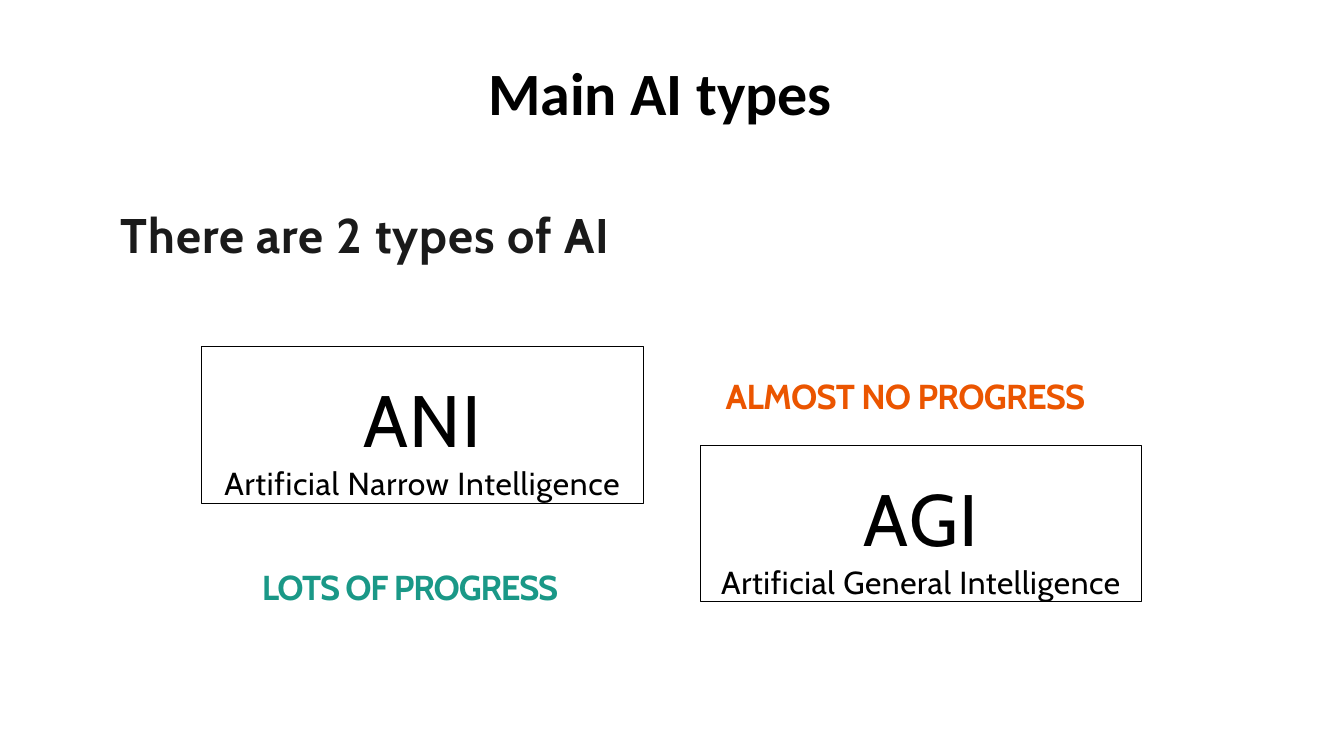
from pptx import Presentation
from pptx import util as u
from pptx.dml.color import RGBColor
from pptx.enum import shapes, text

BLACK = RGBColor(0x00, 0x00, 0x00)
CHARCOAL = RGBColor(0x1A, 0x1A, 0x1A)
TEAL = RGBColor(0x1A, 0x98, 0x87)
ORANGE = RGBColor(0xEB, 0x55, 0x00)

BOX_WIDTH, BOX_HEIGHT = u.Cm(11.13), u.Cm(3.94)


def write(paragraph, content, size, color=BLACK, font="Cabin", bold=False,
          tracking=0, before=0, align=text.PP_ALIGN.LEFT):
    """Fill a paragraph with one run; tracking and before are in points."""
    paragraph.alignment = align
    paragraph.space_before = u.Pt(before)
    run = paragraph.add_run()
    run.text = content
    run.font.name = font
    run.font.size = u.Pt(size)
    run.font.bold = bold
    run.font.color.rgb = color
    run.font._element.set("spc", str(round(tracking * 100)))


def prepare_frame(shape, top_inset):
    frame = shape.text_frame
    frame.word_wrap = True
    frame.vertical_anchor = text.MSO_ANCHOR.TOP
    frame.margin_left = frame.margin_right = frame.margin_bottom = 0
    frame.margin_top = top_inset
    return frame


def add_title(slide, content):
    title = slide.shapes.title
    title.left, title.top = u.Cm(2.03), u.Cm(1.55)
    title.width, title.height = u.Cm(29.21), u.Cm(1.85)
    title.text_frame.vertical_anchor = text.MSO_ANCHOR.MIDDLE
    paragraph = title.text_frame.paragraphs[0]
    paragraph.line_spacing = 0.8
    write(paragraph, content, 42.9, font="Calibri", bold=True,
          align=text.PP_ALIGN.CENTER)


def add_label(slide, content, left, top, width, height, **style):
    label = slide.shapes.add_textbox(left, top, width, height)
    frame = prepare_frame(label, u.Cm(0.05))
    frame.margin_left = u.Cm(0.05)
    write(frame.paragraphs[0], content, bold=True, before=1.7, **style)


def add_type_box(slide, left, top, acronym, meaning, acronym_tracking,
                 meaning_tracking):
    """Draw an outlined box with an acronym above its full form."""
    box = slide.shapes.add_shape(shapes.MSO_SHAPE.RECTANGLE, left, top,
                                 BOX_WIDTH, BOX_HEIGHT)
    box.shadow.inherit = False
    box.fill.background()
    box.line.color.rgb = BLACK
    box.line.width = u.Pt(0.75)
    frame = prepare_frame(box, u.Cm(0.71))
    write(frame.paragraphs[0], acronym, 52, tracking=acronym_tracking,
          before=20.1, align=text.PP_ALIGN.CENTER)
    write(frame.add_paragraph(), meaning, 22.7, tracking=meaning_tracking,
          before=1, align=text.PP_ALIGN.CENTER)


def main():
    presentation = Presentation()
    presentation.slide_width = u.Cm(33.87)
    presentation.slide_height = u.Cm(19.05)
    slide = presentation.slides.add_slide(presentation.slide_layouts[5])

    add_title(slide, "Main AI types")
    add_label(slide, "There are 2 types of AI", u.Cm(3), u.Cm(5.11),
              u.Cm(13.26), u.Cm(1.55), size=34.7, color=CHARCOAL,
              tracking=0.67)
    add_type_box(slide, u.Cm(5.08), u.Cm(8.74), "ANI",
                 "Artificial Narrow Intelligence", 1.5, 0.53)
    add_type_box(slide, u.Cm(17.65), u.Cm(11.23), "AGI",
                 "Artificial General Intelligence", 1.2, 0.44)
    add_label(slide, "LOTS OF PROGRESS", u.Cm(6.55), u.Cm(14.2),
              u.Cm(8.6), u.Cm(1.12), size=24.7, color=TEAL, tracking=-0.89)
    add_label(slide, "ALMOST NO PROGRESS", u.Cm(18.24), u.Cm(9.4),
              u.Cm(9.96), u.Cm(1.12), size=24.7, color=ORANGE, tracking=-0.53)

    presentation.save("out.pptx")


if __name__ == "__main__":
    main()
